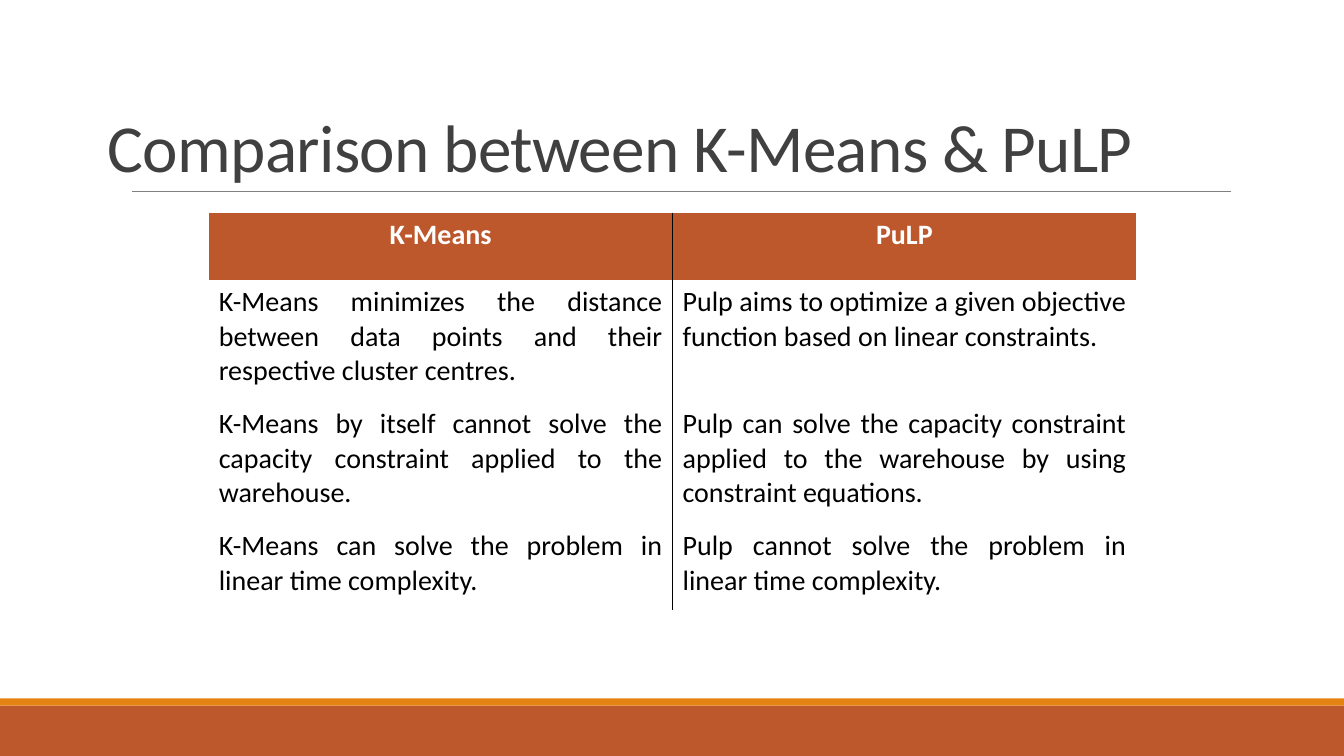
from lxml import etree
from pptx import Presentation
from pptx.dml.color import RGBColor
from pptx.enum.shapes import MSO_CONNECTOR, MSO_SHAPE
from pptx.enum.text import MSO_ANCHOR, MSO_AUTO_SIZE, PP_ALIGN
from pptx.oxml.ns import qn
from pptx.util import Inches, Pt

RECT = MSO_SHAPE.RECTANGLE
STRAIGHT = MSO_CONNECTOR.STRAIGHT
BOTTOM = MSO_ANCHOR.BOTTOM
NO_FIT = MSO_AUTO_SIZE.NONE
LEFT, CENTER, JUSTIFY = PP_ALIGN.LEFT, PP_ALIGN.CENTER, PP_ALIGN.JUSTIFY

FONT = "Calibri"
PLAIN_STYLE = "{2D5ABB26-0587-4C30-8999-92F81FD0307C}"
COLORS = {
    "rust": "BD582C",
    "orange": "E48312",
    "rule": "808080",
    "title": "404040",
    "white": "FFFFFF",
    "black": "000000",
}

ROWS = [
    ("K-Means", "PuLP"),
    ("K-Means minimizes the distance between data points and their "
     "respective cluster centres.",
     "Pulp aims to optimize a given objective function based on linear "
     "constraints."),
    ("K-Means by itself cannot solve the capacity constraint applied to the "
     "warehouse.",
     "Pulp can solve the capacity constraint applied to the warehouse by "
     "using constraint equations."),
    ("K-Means can solve the problem in linear time complexity.",
     "Pulp cannot solve the problem in linear time complexity."),
]
HEIGHTS = [0.67, 1.21, 1.21, 0.85]
COL_WIDTH = 4.6


def rgb(name):
    return RGBColor.from_string(COLORS[name])


def write(frame, text, size=20, color="black", bold=False, align=LEFT,
          spacing=None, track=None):
    para = frame.paragraphs[0]
    para.alignment = align
    if spacing:
        para.line_spacing = spacing
    run = para.add_run()
    run.text = text
    font = run.font
    font.name, font.size, font.bold = FONT, Pt(size), bold
    font.color.rgb = rgb(color)
    if track:
        run._r.get_or_add_rPr().set("spc", str(int(track * 100)))


def add_title(slide, text):
    title = slide.shapes.title
    title.left, title.top = Inches(0.97), Inches(0.31)
    title.width, title.height = Inches(11.39), Inches(1.59)
    frame = title.text_frame
    frame.word_wrap = True
    frame.auto_size = NO_FIT
    frame.vertical_anchor = BOTTOM
    write(frame, text, size=48, color="title", spacing=0.85, track=-0.5)


def add_band(slide, top, height, color):
    band = slide.shapes.add_shape(
        RECT, 0, Inches(top), Inches(13.33), Inches(height))
    band.shadow.inherit = False
    band.fill.solid()
    band.fill.fore_color.rgb = rgb(color)
    band.line.fill.background()


def add_rule(slide, left, right, y):
    rule = slide.shapes.add_connector(
        STRAIGHT, Inches(left), Inches(y), Inches(right), Inches(y))
    rule.line.color.rgb = rgb("rule")
    rule.line.width = Pt(0.5)
    etree.SubElement(rule._element.spPr, qn("a:effectLst"))


def add_border(cell, side):
    line = etree.Element(qn("a:" + side), w=str(Pt(1)))
    fill = etree.SubElement(line, qn("a:solidFill"))
    etree.SubElement(fill, qn("a:srgbClr"), val=COLORS["black"])
    cell._tc.get_or_add_tcPr().insert(0, line)


def add_grid(slide, left, top):
    frame = slide.shapes.add_table(
        len(ROWS), 2, Inches(left), Inches(top),
        Inches(2 * COL_WIDTH), Inches(sum(HEIGHTS)))
    table = frame.table
    table.horz_banding = False
    table._tbl.tblPr.find(qn("a:tableStyleId")).text = PLAIN_STYLE
    for col in table.columns:
        col.width = Inches(COL_WIDTH)
    for r, texts in enumerate(ROWS):
        table.rows[r].height = Inches(HEIGHTS[r])
        for c, text in enumerate(texts):
            cell = table.cell(r, c)
            if r == 0:
                cell.fill.solid()
                cell.fill.fore_color.rgb = rgb("rust")
                write(cell.text_frame, text, color="white", bold=True,
                      align=CENTER)
            else:
                cell.fill.background()
                write(cell.text_frame, text, align=JUSTIFY)
            # Divider between the two columns
            add_border(cell, "lnR" if c == 0 else "lnL")


def main():
    prs = Presentation()
    prs.slide_width, prs.slide_height = Inches(13.33), Inches(7.5)
    slide = prs.slides.add_slide(prs.slide_layouts[5])

    # Footer bands and title rule
    add_band(slide, 7, 0.5, "rust")
    add_band(slide, 6.93, 0.07, "orange")
    add_rule(slide, 1.31, 12.21, 1.9)

    # Title and comparison table
    add_title(slide, "Comparison between K-Means & PuLP")
    add_grid(slide, 2.07, 2.11)

    prs.save("out.pptx")


if __name__ == "__main__":
    main()
